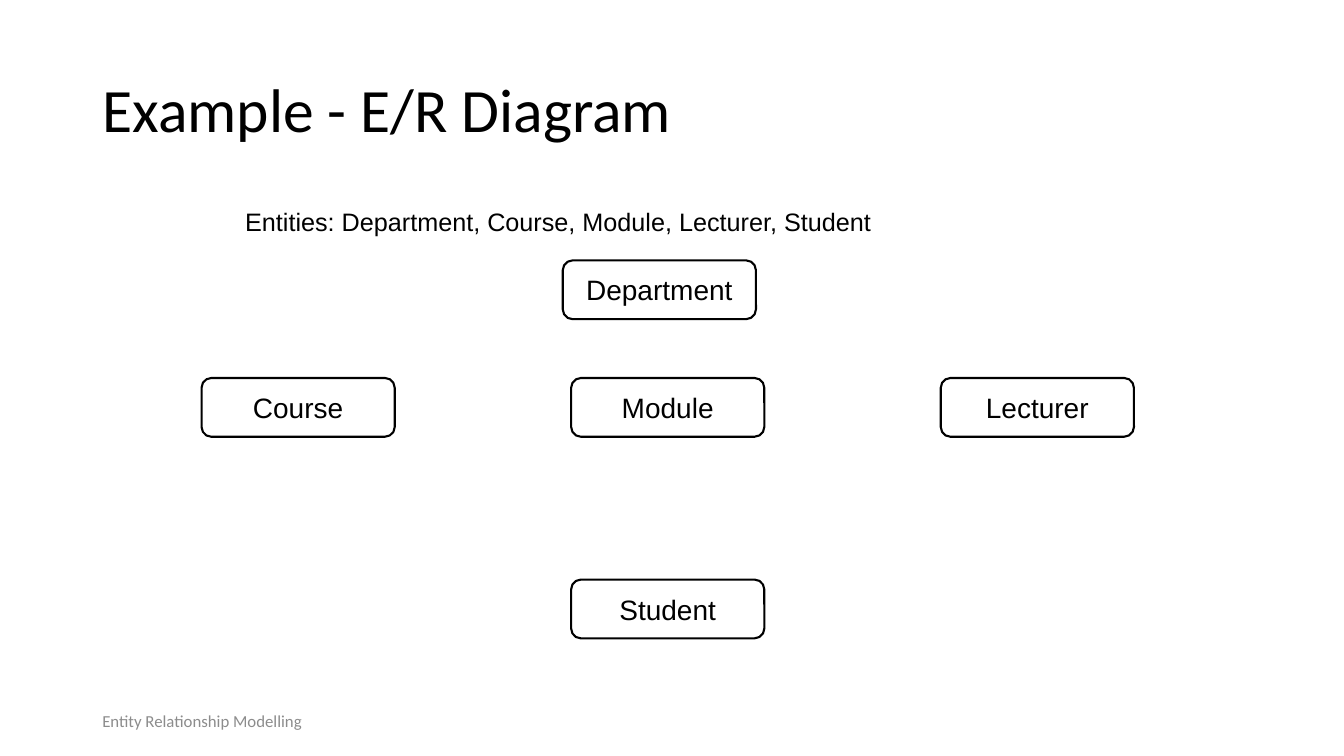
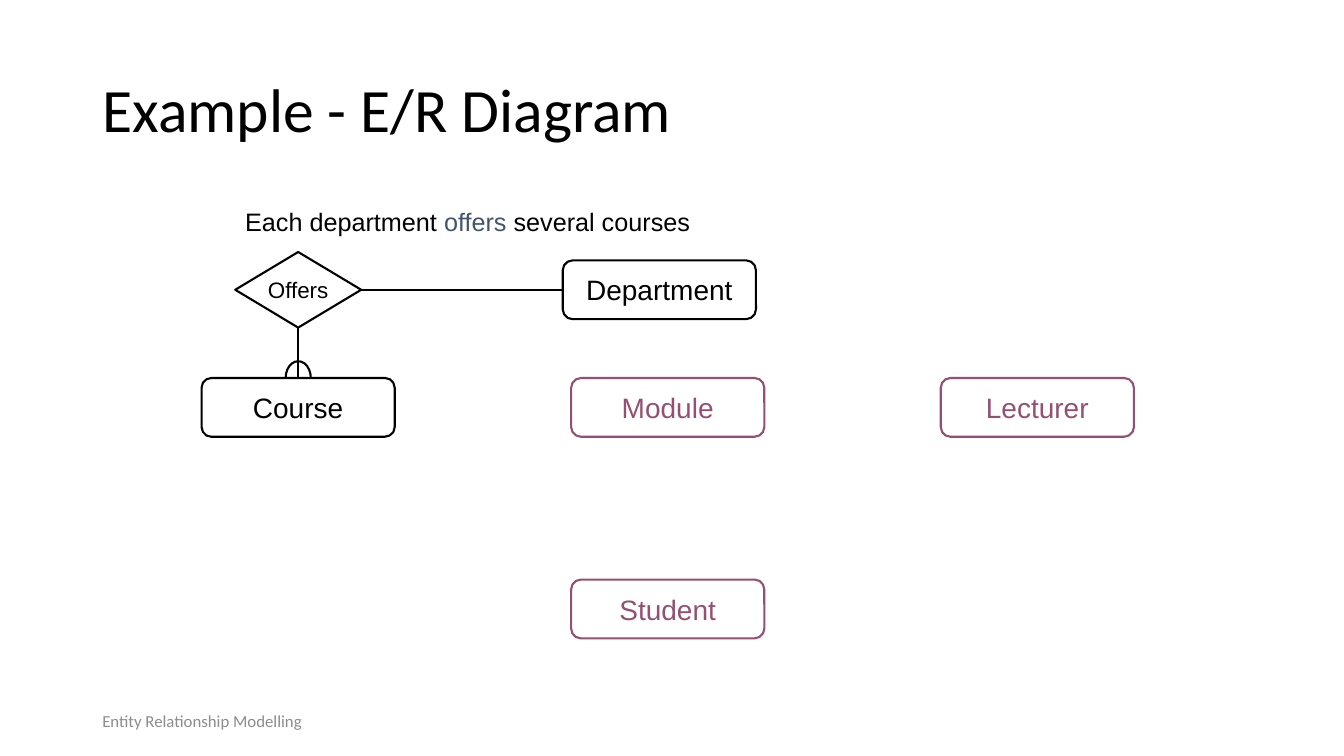
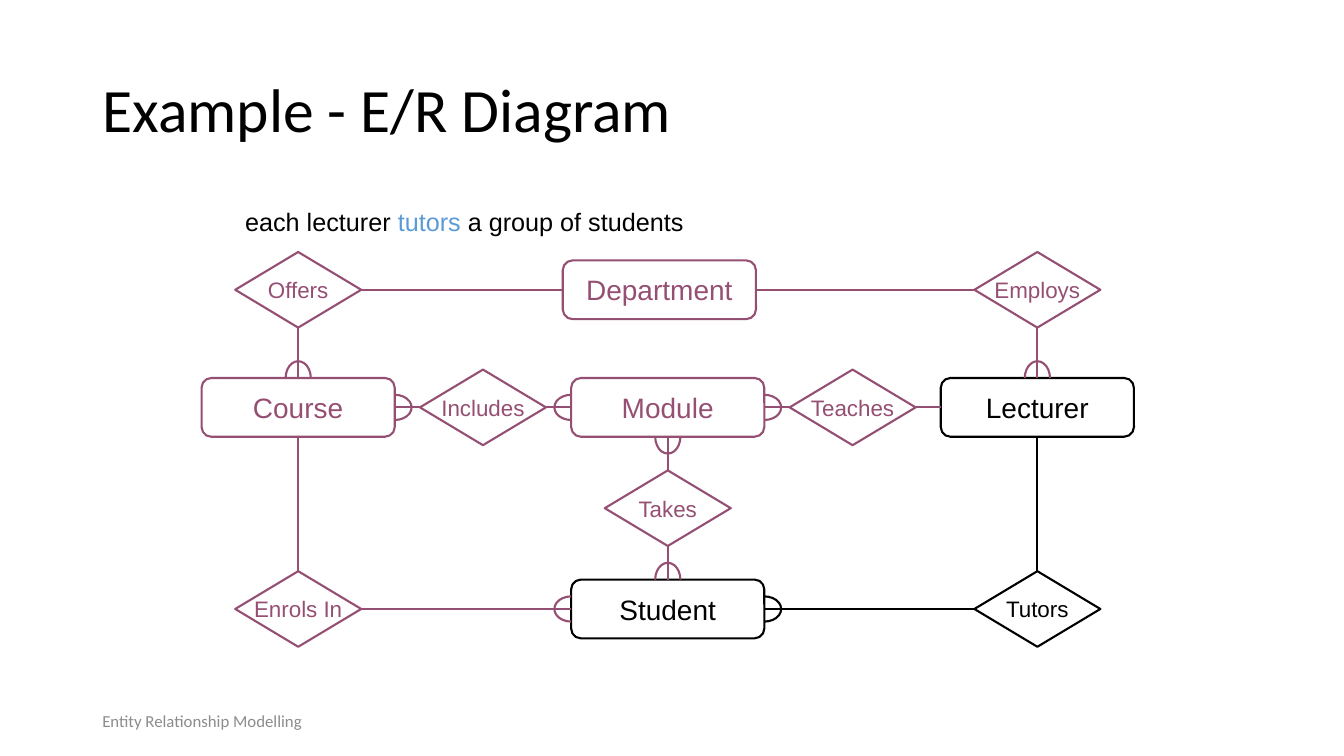
from lxml.etree import SubElement
from pptx import Presentation
from pptx.dml.color import RGBColor
from pptx.enum.shapes import MSO_CONNECTOR as Link, MSO_SHAPE as Shape
from pptx.enum.text import MSO_ANCHOR as Anchor, MSO_AUTO_SIZE as Fit, PP_ALIGN as Align
from pptx.oxml.ns import qn
from pptx.util import Pt

# Shared content and style
TITLE = "Example - E/R Diagram"
FOOTER = "Entity Relationship Modelling"
BLACK, PLUM, GREY, SLATE, BLUE = "000000", "954F72", "8C8C8C", "44546A", "5B9BD5"
TITLE_FONT = {"name": "Calibri", "size": Pt(44)}
FOOTER_FONT = {"name": "Calibri", "size": Pt(12)}
CAPTION_FONT = {"name": "Arial", "size": Pt(18)}
ENTITY_FONT = {"name": "Arial", "size": Pt(20)}
RELATION_FONT = {"name": "Arial", "size": Pt(16)}

# Diagram grid: centres of columns and rows, in px
COLS = [284 + 176 * i for i in range(5)]
ROWS = [276, 388, 484, 580]
ENTITY_SIZE, RELATION_SIZE = (184, 56), (120, 72)
FOOT_DEPTH, FOOT_HALF = 16, 12

# Name: (column, row, shift in px)
ENTITIES = {
    "Module": (2, 1, 0),
    "Course": (0, 1, 0),
    "Department": (2, 0, -8),
    "Student": (2, 3, 0),
    "Lecturer": (4, 1, 0),
}
RELATIONS = {
    "Includes": (1, 1, 0),
    "Offers": (0, 0, 0),
    "Tutors": (4, 3, 0),
    "Enrols In": (0, 3, 0),
    "Takes": (2, 2, 0),
    "Employs": (4, 0, 0),
    "Teaches": (3, 1, 0),
}

# Connection sites of boxes and diamonds; the opposite is two further on
TOP, LEFT, BOTTOM, RIGHT = range(4)
OUTWARD = {TOP: (0, -1), LEFT: (-1, 0), BOTTOM: (0, 1), RIGHT: (1, 0)}
FOOT_ANGLES = {TOP: (180, 0), LEFT: (90, 270), BOTTOM: (0, 180), RIGHT: (270, 90)}

# Relation, side it leaves from, entity, whether the entity end is "many"
LINKS = [
    ("Offers", RIGHT, "Department", False),
    ("Offers", BOTTOM, "Course", True),
    ("Employs", LEFT, "Department", False),
    ("Employs", BOTTOM, "Lecturer", True),
    ("Includes", LEFT, "Course", True),
    ("Includes", RIGHT, "Module", True),
    ("Teaches", LEFT, "Module", True),
    ("Teaches", RIGHT, "Lecturer", False),
    ("Takes", TOP, "Module", True),
    ("Takes", BOTTOM, "Student", True),
    ("Enrols In", TOP, "Course", False),
    ("Enrols In", RIGHT, "Student", True),
    ("Tutors", LEFT, "Student", True),
    ("Tutors", TOP, "Lecturer", False),
]

# Names in "active" are black, the rest plum
SLIDES = [
    {"caption": [("Entities: Department, Course, Module, Lecturer, Student", BLACK)],
     "relations": [],
     "active": list(ENTITIES)},
    {"caption": [("Each department ", BLACK), ("offers", SLATE), (" several courses", BLACK)],
     "relations": ["Offers"],
     "active": ["Department", "Course", "Offers"]},
    {"caption": [("each lecturer ", BLACK), ("tutors", BLUE), (" a group of students", BLACK)],
     "relations": list(RELATIONS),
     "active": ["Lecturer", "Student", "Tutors"]},
]


def px(n):
    return round(n * 9525)


def rgb(code):
    return RGBColor.from_string(code)


def place(sp, *box):
    for name, n in zip(("left", "top", "width", "height"), box):
        setattr(sp, name, px(n))


def write(sp, runs, font, **frame):
    """Fill the first paragraph with (text, colour) runs."""
    tf = sp.text_frame
    for name, value in frame.items():
        setattr(tf, name, value)
    p = tf.paragraphs[0]
    for text, color in runs:
        r = p.add_run()
        r.text = text
        for name, value in font.items():
            setattr(r.font, name, value)
        r.font.color.rgb = rgb(color)
    return p


def textbox(s, box, runs, font, **frame):
    sp = s.shapes.add_textbox(*map(px, box))
    write(sp, runs, font, word_wrap=True, **frame)


def outline(sp, color):
    sp.line.color.rgb = rgb(color)
    sp.line.width = Pt(1.5)


def add_outlined(s, kind, cx, cy, size, color):
    w, h = size
    sp = s.shapes.add_shape(kind, *map(px, (cx - w / 2, cy - h / 2, w, h)))
    sp.shadow.inherit = False
    sp.fill.background()
    outline(sp, color)
    return sp


def add_node(s, kind, name, spot, size, font, color):
    col, row, shift = spot
    sp = add_outlined(s, kind, COLS[col] + shift, ROWS[row], size, color)
    p = write(sp, [(name, color)], font, word_wrap=False, vertical_anchor=Anchor.MIDDLE)
    p.alignment = Align.CENTER
    return sp


def add_link(s, start, start_side, end, end_side, color):
    line = s.shapes.add_connector(Link.STRAIGHT, 0, 0, 0, 0)
    line.begin_connect(start, start_side)
    line.end_connect(end, end_side)
    outline(line, color)
    SubElement(line._element.spPr, qn("a:effectLst"))


def add_foot(s, entity, side, color):
    """Half ellipse that marks the "many" end on one side of an entity."""
    col, row, shift = ENTITIES[entity]
    dx, dy = OUTWARD[side]
    w, h = ENTITY_SIZE
    size = (2 * FOOT_DEPTH, 2 * FOOT_HALF) if dx else (2 * FOOT_HALF, 2 * FOOT_DEPTH)
    cx, cy = COLS[col] + shift + dx * w / 2, ROWS[row] + dy * h / 2
    sp = add_outlined(s, Shape.ARC, cx, cy, size, color)
    for i, angle in enumerate(FOOT_ANGLES[side]):
        sp.adjustments[i] = angle * 0.6


def add_frame(s):
    """Title and footer of every slide."""
    title = s.shapes.title
    place(title, 88, 38, 1104, 139)
    p = write(title, [(TITLE, BLACK)], TITLE_FONT,
              vertical_anchor=Anchor.MIDDLE, auto_size=Fit.NONE)
    p.alignment = Align.LEFT
    p.line_spacing = 0.9
    textbox(s, (88, 667, 288, 38), [(FOOTER, GREY)], FOOTER_FONT,
            vertical_anchor=Anchor.MIDDLE)


def add_diagram(s, relations, active):
    def color(name):
        return BLACK if name in active else PLUM

    nodes = {}
    for name, spot in ENTITIES.items():
        nodes[name] = add_node(s, Shape.ROUNDED_RECTANGLE, name, spot,
                               ENTITY_SIZE, ENTITY_FONT, color(name))
    for name in relations:
        nodes[name] = add_node(s, Shape.DIAMOND, name, RELATIONS[name],
                               RELATION_SIZE, RELATION_FONT, color(name))
    for relation, side, entity, many in LINKS:
        if relation in relations:
            facing = (side + 2) % 4
            add_link(s, nodes[relation], side, nodes[entity], facing, color(relation))
            if many:
                add_foot(s, entity, facing, color(relation))


def main():
    prs = Presentation()
    prs.slide_width, prs.slide_height = px(1280), px(720)
    for data in SLIDES:
        s = prs.slides.add_slide(prs.slide_layouts[5])
        add_frame(s)
        add_diagram(s, data["relations"], data["active"])
        textbox(s, (224, 192, 832, 38), data["caption"], CAPTION_FONT)
    prs.save("out.pptx")


if __name__ == "__main__":
    main()
